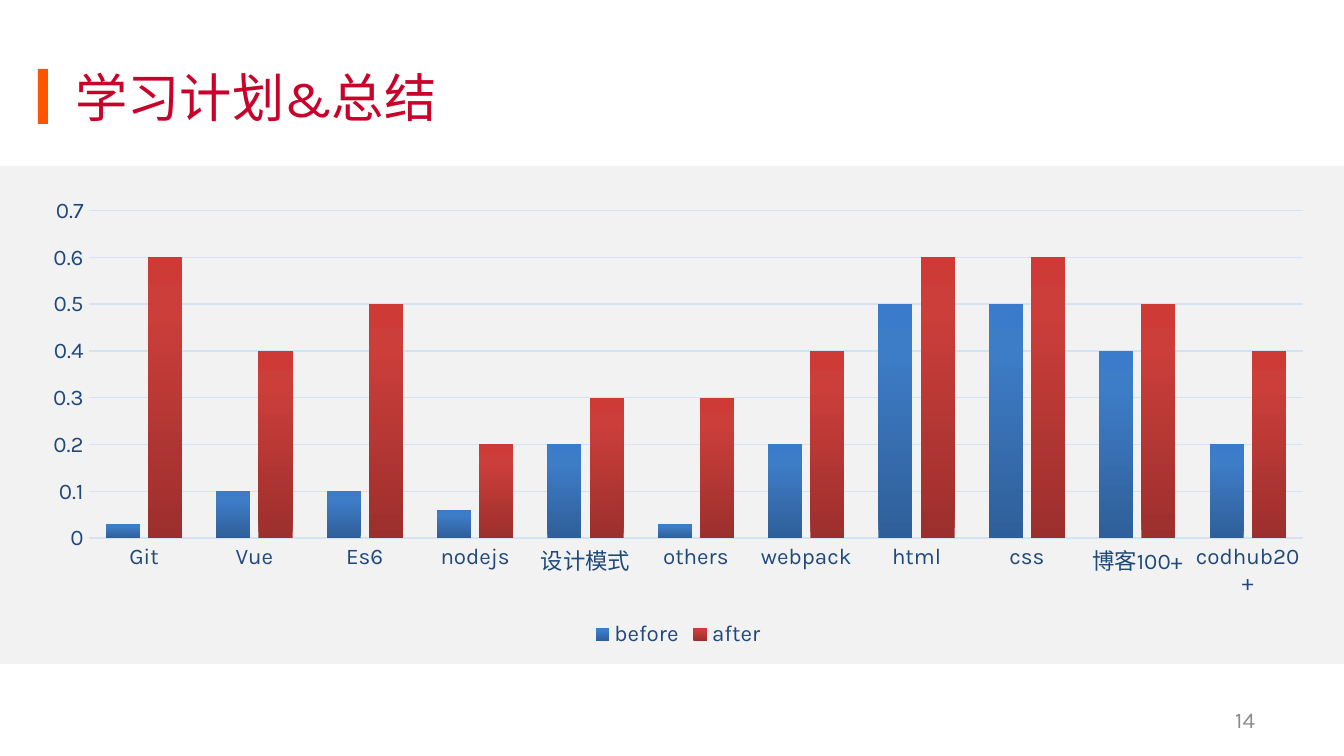
from pptx import Presentation
from pptx.chart.data import CategoryChartData
from pptx.dml.color import RGBColor
from pptx.enum.chart import XL_CHART_TYPE, XL_LEGEND_POSITION as LegendPos, XL_TICK_MARK as Tick
from pptx.enum.shapes import MSO_SHAPE as Shape
from pptx.enum.text import MSO_ANCHOR as Anchor, PP_ALIGN as Align
from pptx.oxml import parse_xml
from pptx.oxml.ns import nsdecls
from pptx.util import Emu, Pt

FONT = "Karla"
CRIMSON = RGBColor(0xCA, 0x02, 0x2A)
ORANGE = RGBColor(0xFF, 0x54, 0x00)
PANEL_GREY = RGBColor(0xF2, 0xF2, 0xF2)
NUMBER_GREY = RGBColor(0x8C, 0x8C, 0x8C)
NAVY = RGBColor(0x1F, 0x49, 0x7D)
PALE_BLUE = RGBColor(0xD4, 0xE3, 0xF4)


def px(*lengths):
    return [Emu(round(length * 914400 / 134.4)) for length in lengths]


def style(font, size, color):
    font.name, font.size, font.bold = FONT, Pt(size), False
    font.color.rgb = color


deck = Presentation()
deck.slide_width, deck.slide_height = px(1344, 756)
page = deck.slides.add_slide(deck.slide_layouts[5])

# Grey panel and orange title marker
for bounds, color in [((0, 166, 1344, 498), PANEL_GREY), ((38, 69, 10, 55), ORANGE)]:
    block = page.shapes.add_shape(Shape.RECTANGLE, *px(*bounds))
    block.shadow.inherit = False
    block.fill.solid()
    block.fill.fore_color.rgb = color
    block.line.fill.background()

# Title and page number
title = page.shapes.title
title.left, title.top, title.width, title.height = px(62, 34, 1210, 126)
number = page.shapes.add_textbox(*px(1222, 700, 313, 40))
for box, text, size, color in [(title, "学习计划&总结", 28, CRIMSON),
                               (number, "14", 12, NUMBER_GREY)]:
    frame = box.text_frame
    frame.word_wrap = True
    frame.vertical_anchor = Anchor.MIDDLE
    para = frame.paragraphs[0]
    para.alignment = Align.LEFT
    span = para.add_run()
    span.text = text
    style(span.font, size, color)

# Chart data
data = CategoryChartData()
data.categories = ["Git", "Vue", "Es6", "nodejs", "设计模式", "others", "webpack",
                   "html", "css", "博客100+", "codhub20+"]
data.add_series("before", [0.03, 0.1, 0.1, 0.06, 0.2, 0.03, 0.2, 0.5, 0.5, 0.4, 0.2])
data.add_series("after", [0.6, 0.4, 0.5, 0.2, 0.3, 0.3, 0.4, 0.6, 0.6, 0.5, 0.4])
chart = page.shapes.add_chart(XL_CHART_TYPE.COLUMN_CLUSTERED,
                              *px(27, 188, 1302, 465), data).chart
style(chart.font, 12, NAVY)
chart.has_title = False
chart.has_legend = True
chart.legend.position = LegendPos.BOTTOM
chart.legend.include_in_layout = False
style(chart.legend.font, 12, NAVY)

# Axes
for axis in (chart.category_axis, chart.value_axis):
    axis.major_tick_mark = axis.minor_tick_mark = Tick.NONE
    style(axis.tick_labels.font, 12, NAVY)
values = chart.value_axis
values.minimum_scale, values.maximum_scale, values.major_unit = 0, 0.7, 0.1
values.format.line.fill.background()
for line in (chart.category_axis.format.line, values.major_gridlines.format.line):
    line.color.rgb = PALE_BLUE
    line.width = Pt(0.75)

# Columns with three-stop vertical gradients
plot = chart.plots[0]
plot.gap_width, plot.overlap = 100, -24
plot.vary_by_categories = False
GRADIENTS = [("2F5F99", "3D7CC7", "3A7CCB"), ("9C2F2D", "CB3E3A", "CE3B37")]
for series, colors in zip(plot.series, GRADIENTS):
    series.invert_if_negative = False
    series.format.line.fill.background()
    stops = "".join(f'<a:gs pos="{at}000"><a:srgbClr val="{color}"/></a:gs>'
                    for at, color in zip((0, 80, 100), colors))
    gradient = parse_xml(f'<a:gradFill {nsdecls("a")} rotWithShape="1"><a:gsLst>{stops}</a:gsLst>'
                         '<a:lin ang="16200000" scaled="0"/></a:gradFill>')
    series.format.line  # keeps the outline after the fill
    series._element.spPr.insert(0, gradient)

deck.save("out.pptx")
